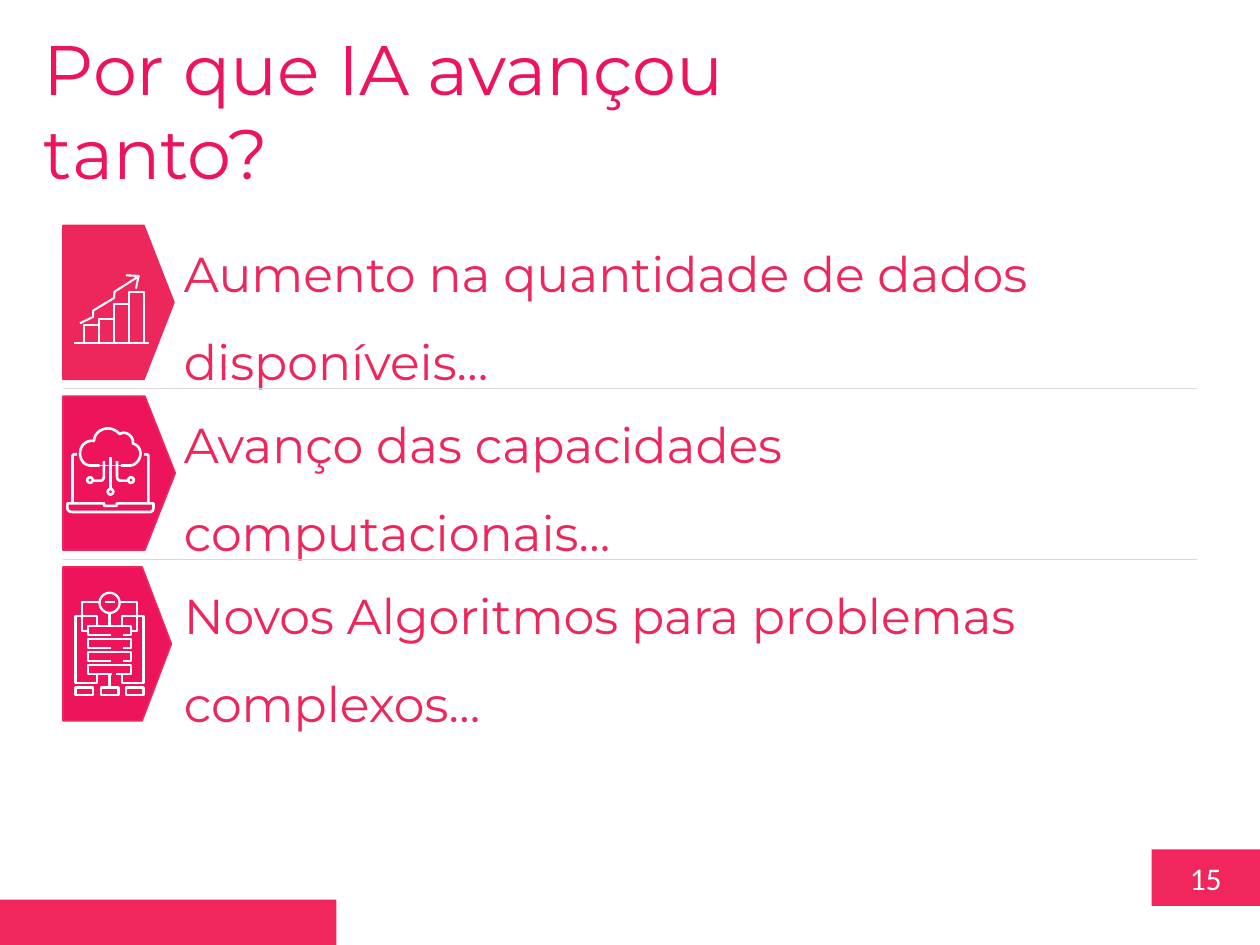
from lxml import etree
from pptx import Presentation
from pptx.dml.color import RGBColor
from pptx.enum.shapes import MSO_CONNECTOR as Connector, MSO_SHAPE as Shape
from pptx.enum.text import MSO_ANCHOR as Anchor, MSO_AUTO_SIZE as AutoSize, PP_ALIGN as Align
from pptx.oxml.ns import qn
from pptx.util import Inches, Pt

PINK = RGBColor(0xED, 0x14, 0x5B)
ROSE = RGBColor(0xED, 0x26, 0x5B)
BAR = RGBColor(0xF0, 0x26, 0x5D)
WHITE = RGBColor(0xFF, 0xFF, 0xFF)
GREY = RGBColor(0xD9, 0xD9, 0xD9)

# The slide is a grid of 1000 columns by 750 rows
COLUMNS, ROWS = 1000, 750
LEFT, RIGHT, TOP, PITCH, HEIGHT = 50, 950, 179, 135.5, 122

# Reason, arrow fill, arrow width
REASONS = [
    ("Aumento na quantidade de dados disponíveis…", ROSE, 88),
    ("Avanço das capacidades computacionais…", PINK, 89),
    ("Novos Algoritmos para problemas complexos…", PINK, 86),
]


def grid(*cells):
    return [Inches(cell / 100) for cell in cells]


def add_block(holder, kind, area, fill=None, line=None, weight=1):
    block = holder.shapes.add_shape(kind, *grid(*area))
    paint(block, fill, line, weight)
    return block


def paint(shape, fill, line, weight):
    shape.shadow.inherit = False
    if fill is None:
        shape.fill.background()
    else:
        shape.fill.solid()
        shape.fill.fore_color.rgb = fill
    if line is None:
        shape.line.fill.background()
    else:
        shape.line.color.rgb = line
        shape.line.width = Pt(weight)


def write(box, text, size, font, color):
    box.text_frame.word_wrap = True
    para = box.text_frame.paragraphs[0]
    span = para.add_run()
    span.text = text
    span.font.size = Pt(size)
    span.font.name = font
    span.font.color.rgb = color
    return para


def add_divider(page, row):
    left, right, level = grid(LEFT, RIGHT, row)
    divider = page.shapes.add_connector(Connector.STRAIGHT, left, level, right, level)
    divider.line.color.rgb = GREY
    divider.line.width = Pt(0.25)
    etree.SubElement(divider._element.spPr, qn("a:effectLst"))


def flatten(steps, parts=8):
    """Turn six-number steps (cubic curves) into short straight segments."""
    points = []
    for step in steps:
        if len(step) == 2:
            points.append(step)
            continue
        knots = [points[-1], step[:2], step[2:4], step[4:]]
        for part in range(1, parts + 1):
            t = part / parts
            shares = ((1 - t) ** 3, 3 * t * (1 - t) ** 2, 3 * t * t * (1 - t), t ** 3)
            points.append(tuple(sum(s * k[axis] for s, k in zip(shares, knots))
                                for axis in (0, 1)))
    return points


def trace(holder, steps, weight, closed=False):
    first, *rest = [grid(*point) for point in flatten(steps)]
    builder = holder.shapes.build_freeform(*first)
    builder.add_line_segments(rest, close=closed)
    paint(builder.convert_to_shape(), None, WHITE, weight)


def trace_pair(holder, steps, axis, weight):
    trace(holder, steps, weight)
    trace(holder, [tuple(2 * axis - n if i % 2 == 0 else n for i, n in enumerate(step))
                   for step in steps], weight)


def draw_growth(page):
    icon = page.shapes.add_group_shape()
    for index, top in enumerate((258, 253, 241, 232)):
        left = 66.5 + 12 * index
        add_block(icon, Shape.RECTANGLE, (left, top, 12, 272 - top), line=WHITE, weight=1.2)
    trace(icon, [(59, 272), (118, 272)], 1.2)
    trace(icon, [(63.5, 256.5), (74, 251.5), (74, 246.5), (90.5, 236.5),
                 (91, 231.5), (110.5, 219)], 1.2)
    trace(icon, [(100, 218.5), (110, 219), (108, 229)], 1.2)


def draw_cloud_laptop(page):
    icon, axis, weight = page.shapes.add_group_shape(), 87.7, 1.5
    # Cloud
    trace(icon, [(96, 369.5), (103, 369.5), (107.5, 369.5, 111.5, 365, 111.5, 360),
                 (111.5, 356, 109, 353, 105.5, 352), (106, 347, 102, 343.5, 98, 343.5),
                 (97, 343.5, 96, 344, 95, 344.5), (93, 342, 89, 340, 86, 340),
                 (80, 340, 75, 344, 74.5, 350), (68, 349, 63.5, 354, 63.5, 360),
                 (63.5, 365, 67, 369.5, 72, 369.5), (79, 369.5)], weight)
    trace(icon, [(79, 369.5), (96, 369.5)], 0.75)
    # Circuit arms and nodes
    trace_pair(icon, [(82.5, 366), (82.5, 378), (82.5, 380, 81.5, 381.5, 80, 381.5),
                      (74, 381.5)], axis, weight)
    trace(icon, [(axis, 363), (axis, 388)], weight)
    for center, level in ((71.4, 381), (axis, 390.3), (104, 381)):
        add_block(icon, Shape.OVAL, (center - 2.2, level - 2.2, 4.4, 4.4),
                  line=WHITE, weight=weight)
    # Screen sides, keyboard base and notch
    trace_pair(icon, [(57.6, 399), (57.6, 362), (57.6, 361, 58.5, 360.5, 60, 360.5),
                      (61, 360.5)], axis, weight)
    trace(icon, [(53.5, 399.5), (53.5, 403), (53.5, 405, 55, 406.3, 57, 406.3),
                 (119, 406.3), (120.5, 406.3, 121.8, 405, 121.8, 403), (121.8, 399.5),
                 (92.7, 399.5), (92.7, 401.5), (82.7, 401.5), (82.7, 399.5)],
          weight, closed=True)


def draw_algorithm(page):
    icon, axis, weight = page.shapes.add_group_shape(), 87, 1.3
    # Stacked layers
    for index in range(4):
        top = 497 + 10.3 * index
        left_end, right_end = (89, 92) if index == 3 else (88, 98)
        trace(icon, [(left_end, top + 7), (70, top + 7), (70, top), (104, top),
                     (104, top + 7), (right_end, top + 7)], weight)
    # Control circle and its stem
    add_block(icon, Shape.OVAL, (79, 470.5, 16, 16), line=WHITE, weight=weight)
    for line in ([(83, 478), (91, 478)], [(axis, 487), (axis, 498)],
                 [(axis, 535), (axis, 545)]):
        trace(icon, line, weight)
    # Inner and outer brackets
    trace_pair(icon, [(79, 478), (65, 478), (65, 501), (70, 501)], axis, weight)
    trace_pair(icon, [(77, 497), (77, 489), (60, 489), (60, 542), (77, 542), (77, 535)],
               axis, weight)
    # Output boxes
    for center in (67, axis, 107):
        add_block(icon, Shape.RECTANGLE, (center - 7, 545.7, 14, 6.2),
                  line=WHITE, weight=weight)


def add_reason(page, index, text, fill, width):
    top = TOP + PITCH * index
    box = page.shapes.add_textbox(*grid(111, top, 839, HEIGHT))
    frame = box.text_frame
    frame.vertical_anchor = Anchor.MIDDLE
    frame.margin_left, frame.margin_right = grid(35, 47)
    write(box, text, 28, "Montserrat", ROSE).line_spacing = 1.5
    arrow = add_block(page, Shape.PENTAGON, (LEFT, top, width, HEIGHT), fill, ROSE)
    arrow.adjustments[0] = 0.27


def main():
    deck = Presentation()
    deck.slide_width, deck.slide_height = grid(COLUMNS, ROWS)
    page = deck.slides.add_slide(deck.slide_layouts[6])

    # Page number and footer bar
    number = add_block(page, Shape.RECTANGLE, (914, 674, 86, 45), BAR)
    number.text_frame.vertical_anchor = Anchor.MIDDLE
    write(number, "15", 18, "Calibri", WHITE).alignment = Align.CENTER
    add_block(page, Shape.RECTANGLE, (0, 714, 267, 36), BAR)

    # Title
    title = page.shapes.add_textbox(*grid(25, 15, 692, 77))
    write(title, "Por que IA avançou tanto?", 40, "Montserrat", PINK)
    title.text_frame.auto_size = AutoSize.SHAPE_TO_FIT_TEXT

    # Reasons with dividers between them
    for index, reason in enumerate(REASONS):
        add_reason(page, index, *reason)
    for index in range(1, len(REASONS)):
        add_divider(page, TOP + PITCH * index - 6.5)

    # Icons
    draw_growth(page)
    draw_cloud_laptop(page)
    draw_algorithm(page)
    deck.save("out.pptx")


if __name__ == "__main__":
    main()
